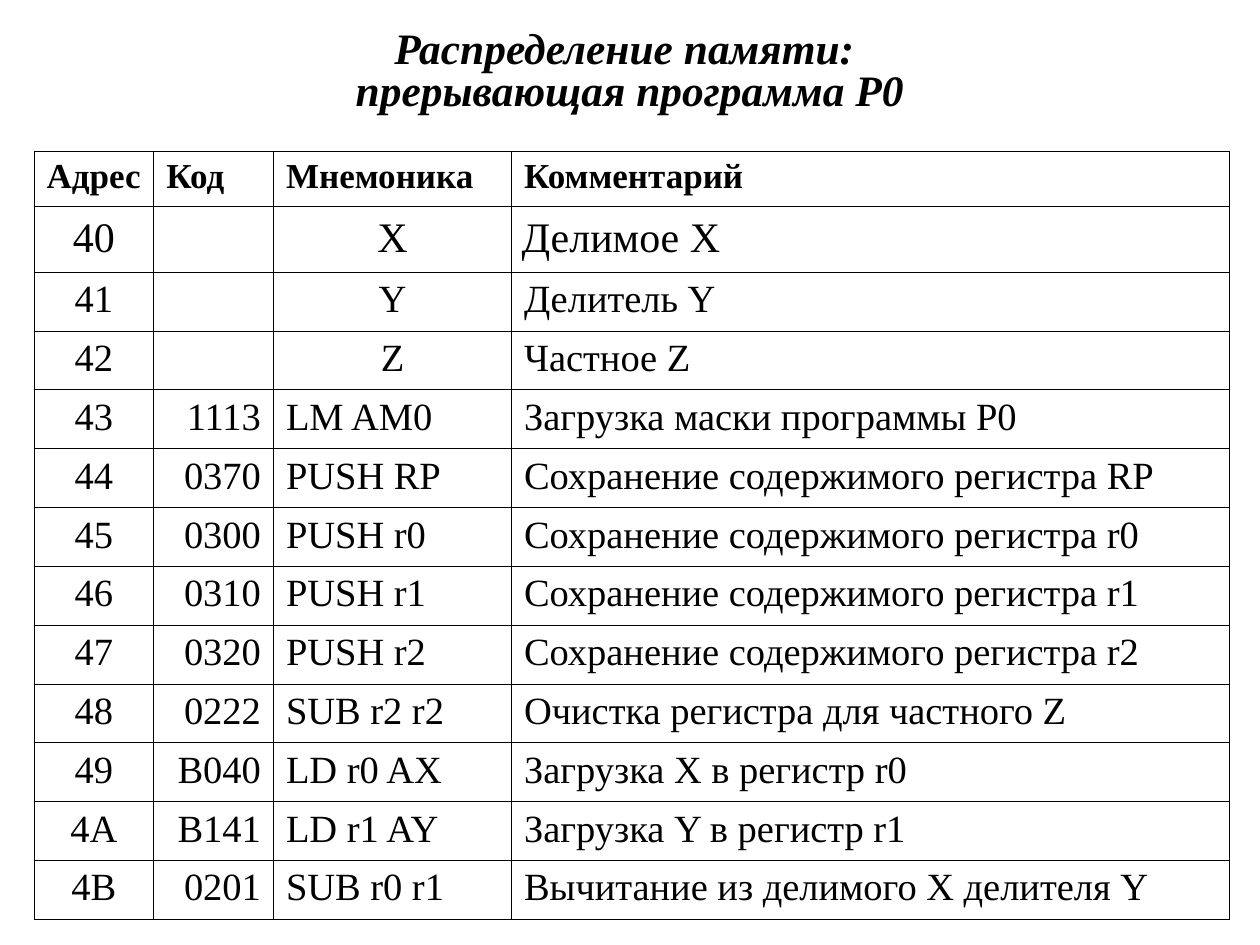
from lxml import etree
from pptx import Presentation
from pptx.dml.color import RGBColor
from pptx.enum.text import MSO_ANCHOR, PP_ALIGN
from pptx.oxml.ns import qn
from pptx.util import Inches, Pt

LEFT, CENTER, RIGHT = PP_ALIGN.LEFT, PP_ALIGN.CENTER, PP_ALIGN.RIGHT
JUSTIFY, MIDDLE = PP_ALIGN.JUSTIFY, MSO_ANCHOR.MIDDLE

# Content
TITLE = "Распределение памяти: \vпрерывающая программа Р0"
HEADER = ("Адрес", "Код", "Мнемоника", "Комментарий")
VARIABLES = [
    ("40", "", "X", "Делимое X"),
    ("41", "", "Y", "Делитель Y"),
    ("42", "", "Z", "Частное Z"),
]
COMMANDS = [
    ("43", "1113", "LM AM0", "Загрузка маски программы P0"),
    ("44", "0370", "PUSH RP", "Сохранение содержимого регистра RP"),
    ("45", "0300", "PUSH r0", "Сохранение содержимого регистра r0"),
    ("46", "0310", "PUSH r1", "Сохранение содержимого регистра r1"),
    ("47", "0320", "PUSH r2", "Сохранение содержимого регистра r2"),
    ("48", "0222", "SUB r2 r2", "Очистка регистра для частного Z"),
    ("49", "B040", "LD r0 AX", "Загрузка X в регистр r0"),
    ("4A", "B141", "LD r1 AY", "Загрузка Y в регистр r1"),
    ("4B", "0201", "SUB r0 r1", "Вычитание из делимого X делителя Y"),
]
ROWS = [HEADER] + VARIABLES + COMMANDS

# Style and layout
COLORS = {"ink": "000000", "paper": "FFFFFF"}
FONT = "Times New Roman"
COLUMN_WIDTHS = (0.95, 0.95, 1.89, 5.7)
TABLE_LEFT, TABLE_TOP, TABLE_HEIGHT = 0.27, 1.2, 6.06
HEADER_HEIGHT, FIRST_HEIGHT = 0.44, 0.48
OTHER_HEIGHT = (TABLE_HEIGHT - HEADER_HEIGHT - FIRST_HEIGHT) / (len(ROWS) - 2)
HEIGHTS = [HEADER_HEIGHT, FIRST_HEIGHT] + [OTHER_HEIGHT] * (len(ROWS) - 2)
HEADER_ALIGN = (JUSTIFY,) * 4
VARIABLE_ALIGN = (CENTER, RIGHT, CENTER, JUSTIFY)
COMMAND_ALIGN = (CENTER, RIGHT, LEFT, JUSTIFY)


def format_text(para, size, align, spacing=1.0, bold=False, italic=False):
    para.alignment = align
    para.line_spacing = spacing
    for span in para.runs:
        font = span.font
        font.name, font.size = FONT, Pt(size)
        font.bold, font.italic = bold, italic
        font.color.rgb = RGBColor.from_string(COLORS["ink"])


def add_borders(cell):
    properties = cell._tc.get_or_add_tcPr()
    for index, side in enumerate(("lnL", "lnR", "lnT", "lnB")):
        line = etree.Element(qn("a:" + side), w=str(Pt(0.45)))
        fill = etree.SubElement(line, qn("a:solidFill"))
        etree.SubElement(fill, qn("a:srgbClr"), val=COLORS["ink"])
        properties.insert(index, line)


def row_style(index):
    """Return size, alignments, line spacing, bold and side margin."""
    if index == 0:
        return 20, HEADER_ALIGN, 1.0, True, 0.1
    if index == 1:
        return 24, VARIABLE_ALIGN, 1.05, False, 0.08
    aligns = VARIABLE_ALIGN if index <= len(VARIABLES) else COMMAND_ALIGN
    return 22, aligns, 1.0, False, 0.1


deck = Presentation()
deck.slide_width, deck.slide_height = Inches(10), Inches(7.5)
page = deck.slides.add_slide(deck.slide_layouts[6])

# Title
box = page.shapes.add_textbox(0, Inches(0.09), Inches(10), Inches(0.98))
frame = box.text_frame
frame.word_wrap = True
frame.vertical_anchor = MIDDLE
frame.paragraphs[0].text = TITLE
format_text(frame.paragraphs[0], 24.8, CENTER, 0.8, bold=True, italic=True)

# Memory table
table = page.shapes.add_table(
    len(ROWS), len(HEADER), Inches(TABLE_LEFT), Inches(TABLE_TOP),
    Inches(sum(COLUMN_WIDTHS)), Inches(TABLE_HEIGHT)).table
table.first_row = table.horz_banding = False
for column, width in zip(table.columns, COLUMN_WIDTHS):
    column.width = Inches(width)

for index, (row, values) in enumerate(zip(table.rows, ROWS)):
    row.height = Inches(HEIGHTS[index])
    size, aligns, spacing, bold, margin = row_style(index)
    for cell, value, align in zip(row.cells, values, aligns):
        cell.margin_left = cell.margin_right = Inches(margin)
        cell.fill.solid()
        cell.fill.fore_color.rgb = RGBColor.from_string(COLORS["paper"])
        add_borders(cell)
        if value:
            para = cell.text_frame.paragraphs[0]
            para.text = value
            format_text(para, size, align, spacing, bold)

deck.save("out.pptx")
